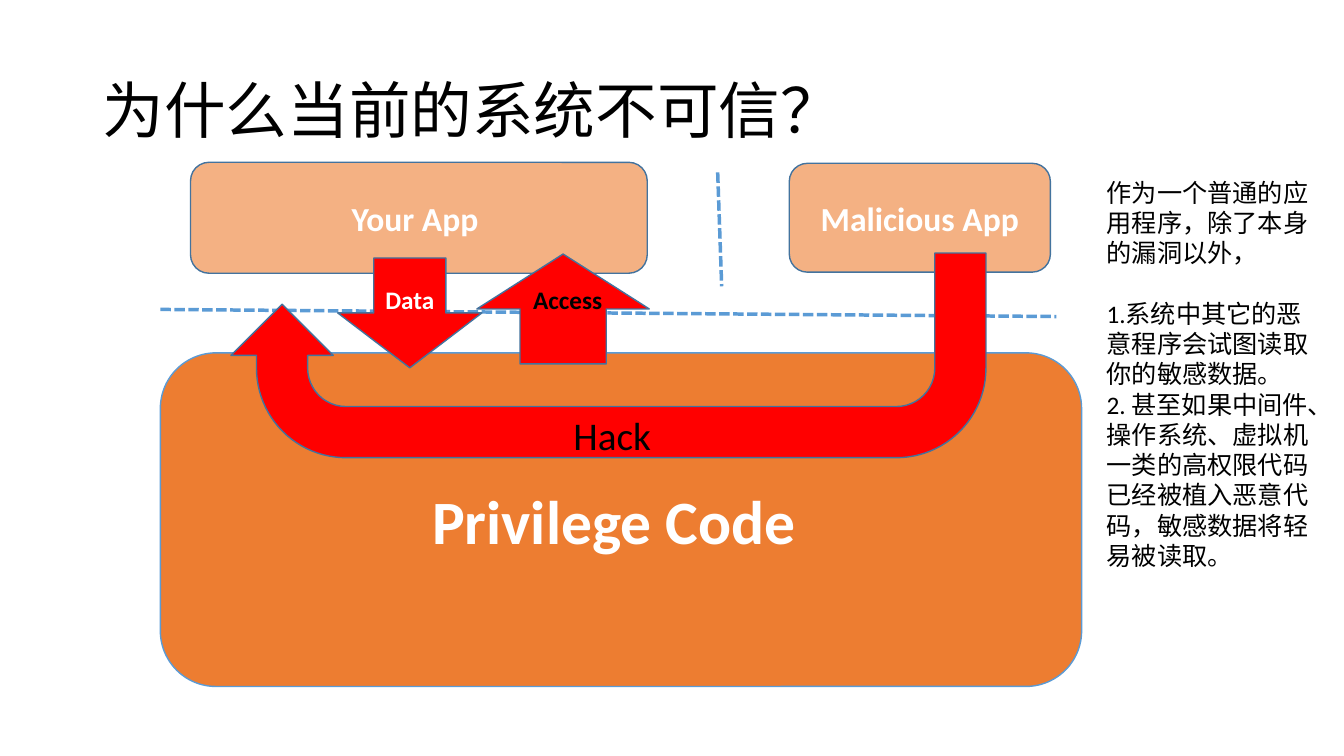
from dataclasses import dataclass

from lxml import etree
from pptx import Presentation
from pptx.dml.color import RGBColor
from pptx.enum.dml import MSO_LINE
from pptx.enum.shapes import MSO_CONNECTOR, MSO_SHAPE
from pptx.enum.text import MSO_ANCHOR, PP_ALIGN
from pptx.oxml.ns import qn
from pptx.util import Inches, Pt

ROUNDED = MSO_SHAPE.ROUNDED_RECTANGLE
DOWN_ARROW = MSO_SHAPE.DOWN_ARROW
U_TURN = MSO_SHAPE.U_TURN_ARROW
STRAIGHT = MSO_CONNECTOR.STRAIGHT
DASHED = MSO_LINE.SQUARE_DOT
MIDDLE = MSO_ANCHOR.MIDDLE
TOP = MSO_ANCHOR.TOP
CENTER = PP_ALIGN.CENTER
LEFT = PP_ALIGN.LEFT

SLIDE_WIDTH = Inches(13.333)
SLIDE_HEIGHT = Inches(7.5)


@dataclass(frozen=True)
class Theme:
    """Colours, type sizes and line widths of the slide."""

    font: str = "Calibri"
    ink: str = "000000"
    paper: str = "FFFFFF"
    app: str = "F4B183"
    privilege: str = "ED7D31"
    attack: str = "FF0000"
    outline: str = "43739E"
    boundary: str = "5B9BD5"
    heading: int = 44
    hack: int = 28
    label: int = 24
    body: int = 18
    outline_width: float = 1
    boundary_width: float = 2.5


THEME = Theme()

EXPLANATION = (
    "作为一个普通的应用程序，除了本身的漏洞以外，",
    "1.系统中其它的恶意程序会试图读取你的敏感数据。",
    "2. 甚至如果中间件、操作系统、虚拟机一类的高权限代码已经被植入恶意代码，敏感数据将轻易被读取。",
)


def place(*percents):
    """Turn alternating x and y percentages of the slide into lengths."""
    sides = (SLIDE_WIDTH, SLIDE_HEIGHT)
    return [int(sides[i % 2] * share / 100) for i, share in enumerate(percents)]


def write(frame, paragraphs, size, color, bold=False, align=LEFT):
    """Fill a text frame and format its runs."""
    frame.text = "\n".join(paragraphs)
    for paragraph in frame.paragraphs:
        paragraph.alignment = align
        for run in paragraph.runs:
            run.font.name = THEME.font
            run.font.size = Pt(size)
            run.font.bold = bold
            run.font.color.rgb = RGBColor.from_string(color)


def add_block(slide, preset, area, fill, outline=THEME.outline, rotation=0):
    """Add a filled and outlined preset shape."""
    block = slide.shapes.add_shape(preset, *place(*area))
    block.shadow.inherit = False
    block.rotation = rotation
    block.fill.solid()
    block.fill.fore_color.rgb = RGBColor.from_string(fill)
    block.line.color.rgb = RGBColor.from_string(outline)
    block.line.width = Pt(THEME.outline_width)
    return block


def add_labelled(slide, preset, area, fill, label, size, outline=THEME.outline):
    """Add a block with a bold white label in its middle."""
    frame = add_block(slide, preset, area, fill, outline).text_frame
    frame.word_wrap = True
    frame.vertical_anchor = MIDDLE
    write(frame, [label], size, THEME.paper, True, CENTER)


def add_text(slide, area, paragraphs, size, bold=False, wrap=True, anchor=TOP):
    """Add a dark text box and return its frame."""
    frame = slide.shapes.add_textbox(*place(*area)).text_frame
    frame.word_wrap = wrap
    frame.vertical_anchor = anchor
    write(frame, paragraphs, size, THEME.ink, bold)
    return frame


def add_boundary(slide, ends):
    """Add a dashed isolation boundary."""
    boundary = slide.shapes.add_connector(STRAIGHT, *place(*ends))
    boundary.line.color.rgb = RGBColor.from_string(THEME.boundary)
    boundary.line.width = Pt(THEME.boundary_width)
    boundary.line.dash_style = DASHED
    etree.SubElement(boundary.element.spPr, qn("a:effectLst"))


def main():
    """Build and save the slide."""
    deck = Presentation()
    deck.slide_width, deck.slide_height = SLIDE_WIDTH, SLIDE_HEIGHT
    slide = deck.slides.add_slide(deck.slide_layouts[6])

    title = add_text(slide, (6.9, 5.33, 86.25, 19.33), ["为什么当前的系统不可信？"],
                     THEME.heading, anchor=MIDDLE)
    title.paragraphs[0].line_spacing = 0.9

    add_labelled(slide, ROUNDED, (11.93, 46.67, 68.55, 44.13), THEME.privilege,
                 "Privilege Code ", THEME.heading, THEME.boundary)
    add_labelled(slide, ROUNDED, (14.18, 21.47, 33.98, 14.67), THEME.app,
                 "Your App ", THEME.label)
    add_labelled(slide, ROUNDED, (58.73, 21.6, 19.43, 14.4), THEME.app,
                 " Malicious App ", THEME.label)

    for ends in ((11.93, 40.93, 78.6, 41.87), (53.4, 22.8, 53.7, 37.87)):
        add_boundary(slide, ends)

    add_labelled(slide, DOWN_ARROW, (25.13, 34.13, 10.73, 14.53), THEME.attack,
                 "Data", THEME.body)
    add_block(slide, DOWN_ARROW, (35.48, 33.6, 12.83, 14.53), THEME.attack, rotation=180)
    add_text(slide, (38.93, 36.93, 7.05, 5.33), ["Access"], THEME.body, True, False)

    explanation = add_text(slide, (81.6, 22.8, 17.78, 53.87), EXPLANATION, THEME.body)
    explanation.paragraphs[1].space_before = Pt(1.2 * THEME.body)

    add_block(slide, U_TURN, (17.18, 33.47, 56.18, 27.07), THEME.attack, rotation=180)
    add_text(slide, (41.93, 53.73, 7.35, 7.6), ["Hack"], THEME.hack, wrap=False)

    deck.save("out.pptx")


if __name__ == "__main__":
    main()
